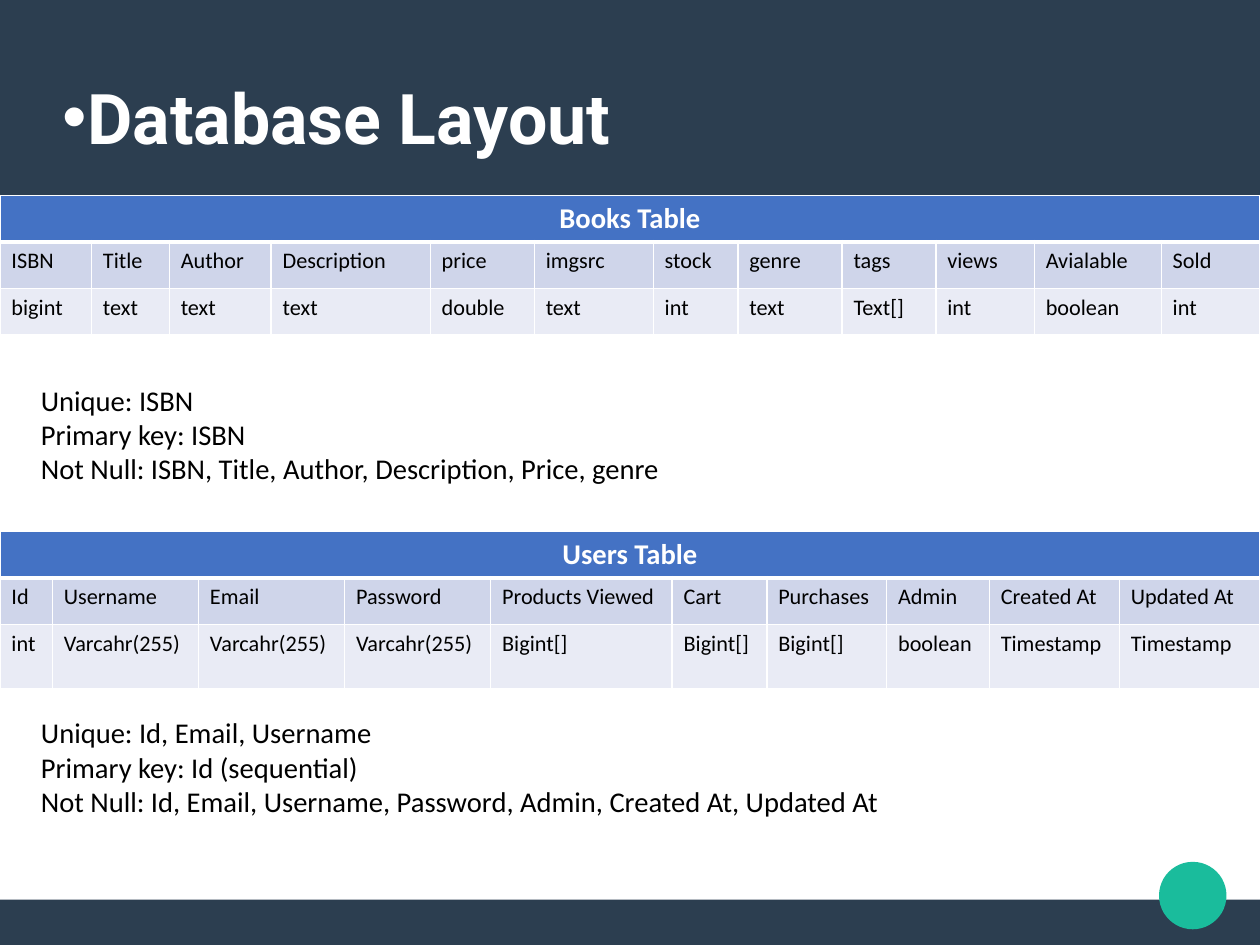
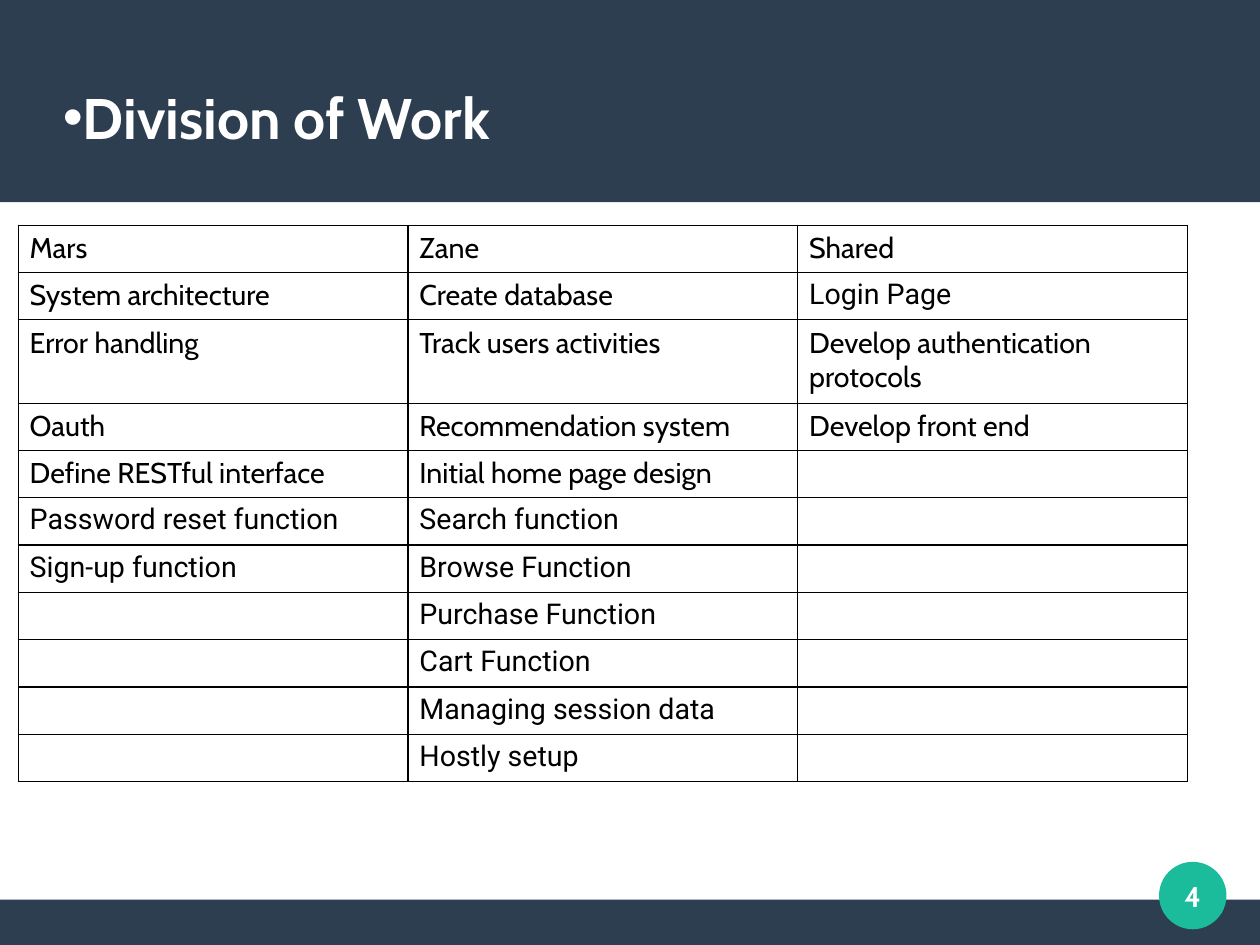
from lxml import etree
from pptx import Presentation
from pptx.dml.color import RGBColor
from pptx.enum.shapes import MSO_SHAPE
from pptx.enum.text import MSO_ANCHOR, MSO_AUTO_SIZE, PP_ALIGN
from pptx.oxml.ns import qn
from pptx.util import Inches, Pt

RECT, OVAL = MSO_SHAPE.RECTANGLE, MSO_SHAPE.OVAL
LEFT, CENTER = PP_ALIGN.LEFT, PP_ALIGN.CENTER
MIDDLE = MSO_ANCHOR.MIDDLE
NO_FIT = MSO_AUTO_SIZE.NONE

NAVY = RGBColor(0x2C, 0x3E, 0x50)
TEAL = RGBColor(0x1A, 0xBC, 0x9C)
BLUE = RGBColor(0x44, 0x72, 0xC4)
PALE_BLUE = RGBColor(0xCF, 0xD5, 0xEA)
PALE_GREY = RGBColor(0xE9, 0xEB, 0xF5)
WHITE = RGBColor(0xFF, 0xFF, 0xFF)
BLACK = RGBColor(0, 0, 0)

# The page is 28 by 21 cm
WIDTH, HEIGHT = 28 / 2.54, 21 / 2.54
FOOTER_TOP = 7.87
FURNITURE = [
    (RECT, (0, FOOTER_TOP, WIDTH, HEIGHT - FOOTER_TOP), NAVY),
    (RECT, (0, 0, WIDTH, 1.77), NAVY),
    (OVAL, (10.14, 7.54, 0.59, 0.59), TEAL),
]
TITLE_BOX = (0.55, 0.33, 9.92, 1.38)
NUMBER_BOX = (10.04, 7.44, 0.79, 0.79)

SCHEMA_ROW = 1.22 / 3
SCHEMAS = [
    {
        "name": "Books Table",
        "top": 1.71,
        "heights": [SCHEMA_ROW] * 3,
        "columns": [
            ("ISBN", "bigint", 0.8), ("Title", "text", 0.68),
            ("Author", "text", 0.89), ("Description", "text", 1.39),
            ("price", "double", 0.91), ("imgsrc", "text", 1.04),
            ("stock", "int", 0.74), ("genre", "text", 0.91),
            ("tags", "Text[]", 0.82), ("views", "int", 0.86),
            ("Avialable", "boolean", 1.11), ("Sold", "int", 0.86),
        ],
        "notes_box": (0.26, 3.3, 5.67, 1.01),
        "notes": ["Unique: ISBN", "Primary key: ISBN",
                  "Not Null: ISBN, Title, Author, Description, Price, genre"],
    },
    {
        "name": "Users Table",
        "top": 4.65,
        "heights": [SCHEMA_ROW, SCHEMA_ROW, 0.56],
        "columns": [
            ("Id", "int", 0.46), ("Username", "Varcahr(255)", 1.28),
            ("Email", "Varcahr(255)", 1.28), ("Password", "Varcahr(255)", 1.28),
            ("Products Viewed", "Bigint[]", 1.59), ("Cart", "Bigint[]", 0.83),
            ("Purchases", "Bigint[]", 1.05), ("Admin", "boolean", 0.9),
            ("Created At", "Timestamp", 1.14), ("Updated At", "Timestamp", 1.23),
        ],
        "notes_box": (0.26, 6.21, 7.58, 1.01),
        "notes": ["Unique: Id, Email, Username", "Primary key: Id (sequential)",
                  "Not Null: Id, Email, Username, Password, Admin, "
                  "Created At, Updated At"],
    },
]

WORK = [
    ("Mars", "Zane", "Shared"),
    ("System architecture", "Create database", "Login Page"),
    ("Error handling", "Track users activities",
     "Develop authentication protocols"),
    ("Oauth", "Recommendation system", "Develop front end"),
    ("Define RESTful interface", "Initial home page design", ""),
    ("Password reset function", "Search function", ""),
    ("Sign-up function", "Browse Function", ""),
    ("", "Purchase Function", ""),
    ("", "Cart Function", ""),
    ("", "Managing session data", ""),
    ("", "Hostly setup", ""),
]
WORK_LEFT, WORK_TOP, WORK_HEIGHT = 0.16, 1.97, 4.87
WORK_COLUMN, TALL_ROW, TALL_HEIGHT = 3.41, 2, 0.73
FIRST_ROBOTO_ROW = 5


def inches(box):
    """Turn a tuple of numbers into lengths."""
    return [Inches(v) for v in box]


def add_run(p, text, font, size, color, bold=False, align=LEFT):
    """Add one formatted run to a paragraph."""
    p.alignment = align
    r = p.add_run()
    r.text = text
    r.font.name, r.font.size, r.font.bold = font, Pt(size), bold
    r.font.color.rgb = color


def center_frame(tf):
    """Remove the margins and centre the text vertically."""
    tf.margin_left = tf.margin_right = tf.margin_top = tf.margin_bottom = 0
    tf.vertical_anchor = MIDDLE
    tf.word_wrap = True


def add_furniture(s, layout):
    """Draw the bands and the disc once and place them on the layout."""
    for ph in list(layout.placeholders)[1:]:
        layout.shapes.element.remove(ph.element)
    drawn = []
    for kind, box, color in FURNITURE:
        sp = s.shapes.add_shape(kind, *inches(box))
        sp.shadow.inherit = False
        sp.fill.solid()
        sp.fill.fore_color.rgb = color
        sp.line.fill.background()
        drawn.append(sp)
    for sp in drawn:
        layout.shapes.element.append(sp.element)


def set_title(s, text, font, size):
    """Write the bulleted title."""
    sp = s.shapes.title
    sp.left, sp.top, sp.width, sp.height = inches(TITLE_BOX)
    tf = sp.text_frame
    center_frame(tf)
    tf.auto_size = NO_FIT
    p = tf.paragraphs[0]
    add_run(p, text, font, size, WHITE, bold=True)
    pPr = p._p.get_or_add_pPr()
    pPr.set("marL", "0")
    pPr.set("indent", "0")
    etree.SubElement(pPr, qn("a:buFont")).set("typeface", "Arial")
    etree.SubElement(pPr, qn("a:buChar")).set("char", "•")


def set_borders(cell, color, bottom=1):
    """Draw the four edges of a cell, widths in points."""
    tcPr = cell._tc.get_or_add_tcPr()
    edges = [("a:lnL", 1), ("a:lnR", 1), ("a:lnT", 1), ("a:lnB", bottom)]
    for i, (tag, width) in enumerate(edges):
        ln = etree.Element(qn(tag), w=str(Pt(width)))
        fill = etree.SubElement(ln, qn("a:solidFill"))
        etree.SubElement(fill, qn("a:srgbClr"), val=str(color))
        tcPr.insert(i, ln)


def add_grid(s, left, top, widths, heights):
    """Add an unstyled table with the given columns and rows."""
    box = inches((left, top, sum(widths), sum(heights)))
    table = s.shapes.add_table(len(heights), len(widths), *box).table
    table.first_row = table.horz_banding = False
    for column, width in zip(table.columns, widths):
        column.width = Inches(width)
    for row, height in zip(table.rows, heights):
        row.height = Inches(height)
    return table


def add_schema(s, schema):
    """Add a database table across the page and the notes on its keys."""
    names, types, shares = zip(*schema["columns"])
    widths = [WIDTH * share / sum(shares) for share in shares]
    table = add_grid(s, 0, schema["top"], widths, schema["heights"])
    styles = [(BLUE, 3), (PALE_BLUE, 1), (PALE_GREY, 1)]
    for row, (fill, bottom) in zip(table.rows, styles):
        for cell in row.cells:
            cell.fill.solid()
            cell.fill.fore_color.rgb = fill
            set_borders(cell, WHITE, bottom)
    header = table.cell(0, 0)
    header.merge(table.cell(0, len(names) - 1))
    add_run(header.text_frame.paragraphs[0], schema["name"], "Calibri", 18,
            WHITE, bold=True, align=CENTER)
    for i, texts in enumerate((names, types), 1):
        for j, text in enumerate(texts):
            p = table.cell(i, j).text_frame.paragraphs[0]
            add_run(p, text, "Calibri", 14, BLACK)

    tf = s.shapes.add_textbox(*inches(schema["notes_box"])).text_frame
    tf.word_wrap = False
    for i, note in enumerate(schema["notes"]):
        p = tf.add_paragraph() if i else tf.paragraphs[0]
        add_run(p, note, "Calibri", 18, BLACK)


def add_work(s):
    """Add the table of tasks for each person."""
    heights = [(WORK_HEIGHT - TALL_HEIGHT) / (len(WORK) - 1)] * len(WORK)
    heights[TALL_ROW] = TALL_HEIGHT
    table = add_grid(s, WORK_LEFT, WORK_TOP, [WORK_COLUMN] * 3, heights)
    for i, tasks in enumerate(WORK):
        for j, task in enumerate(tasks):
            cell = table.cell(i, j)
            cell.fill.background()
            set_borders(cell, BLACK)
            if task:
                roboto = i >= FIRST_ROBOTO_ROW or task == "Login Page"
                add_run(cell.text_frame.paragraphs[0], task,
                        "Roboto" if roboto else "Cabin", 18, BLACK)


def add_number(s, number):
    """Write the slide number on the disc."""
    tf = s.shapes.add_textbox(*inches(NUMBER_BOX)).text_frame
    center_frame(tf)
    add_run(tf.paragraphs[0], number, "Cabin", 18, WHITE, bold=True,
            align=CENTER)


prs = Presentation()
prs.slide_width, prs.slide_height = Inches(WIDTH), Inches(HEIGHT)
title_only = prs.slide_layouts[5]

s = prs.slides.add_slide(title_only)
add_furniture(s, title_only)
set_title(s, "Database Layout", "Roboto", 44)
for schema in SCHEMAS:
    add_schema(s, schema)

s = prs.slides.add_slide(title_only)
set_title(s, "Division of Work", "Cabin", 36)
add_number(s, "4")
add_work(s)

prs.save("out.pptx")
